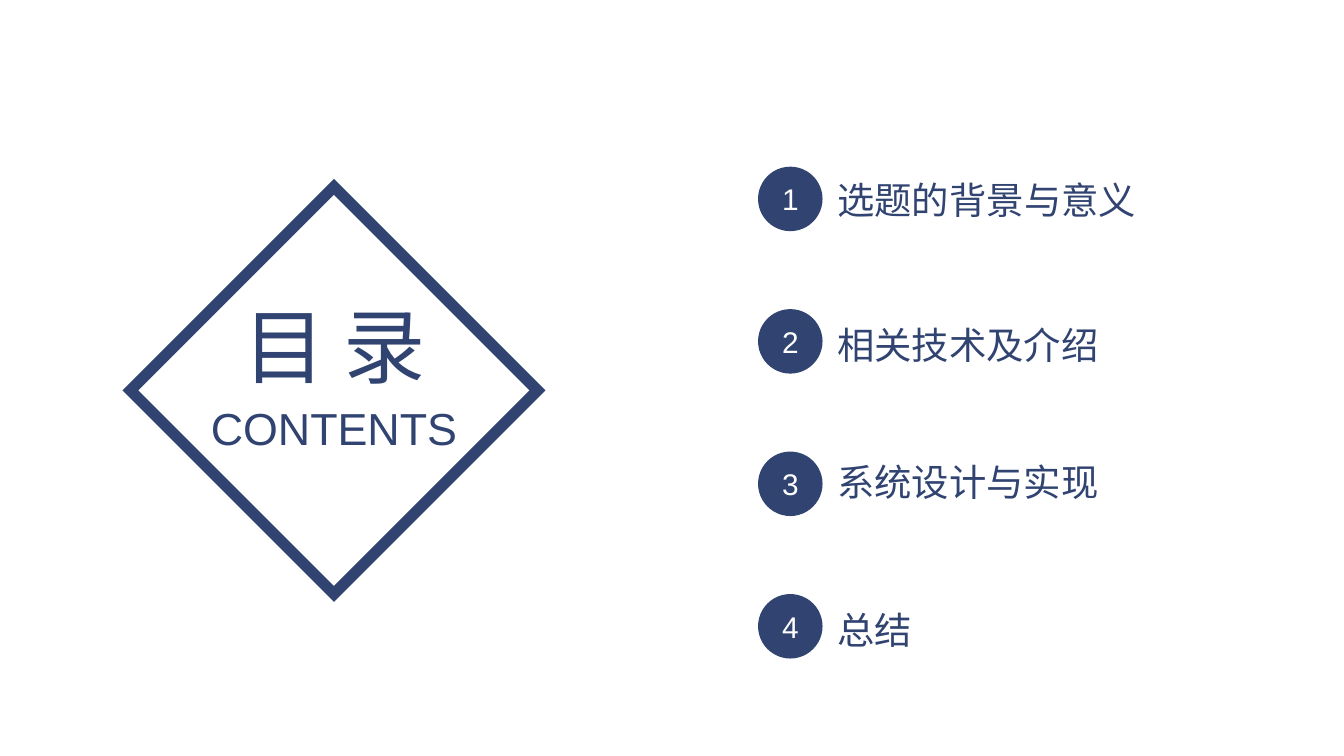
from lxml import etree
from pptx import Presentation
from pptx.dml.color import RGBColor
from pptx.enum.shapes import MSO_SHAPE
from pptx.enum.text import MSO_ANCHOR, MSO_AUTO_SIZE, PP_ALIGN
from pptx.oxml.ns import qn
from pptx.util import Inches, Pt

OVAL, DIAMOND = MSO_SHAPE.OVAL, MSO_SHAPE.DIAMOND
TOP, MIDDLE = MSO_ANCHOR.TOP, MSO_ANCHOR.MIDDLE
LEFT, CENTER = PP_ALIGN.LEFT, PP_ALIGN.CENTER
GROW, FIXED = MSO_AUTO_SIZE.SHAPE_TO_FIT_TEXT, MSO_AUTO_SIZE.NONE
WIDTH = Inches(10)
HEIGHT = WIDTH * 9 // 16
NAVY, WHITE = "304371", "FFFFFF"
HAN, LATIN = "Noto Sans CJK SC", "Arial"
TOPICS = [
    ("选题的背景与意义", 1.27, 2.45),
    ("相关技术及介绍", 2.35, 2.17),
    ("系统设计与实现", 3.37, 2.17),
    ("总结", 4.47, 0.76),
]


def tint(fmt, color):
    """Set a solid colour on a font, a line or a fill."""
    target = fmt.fill if hasattr(fmt, "fill") else fmt
    target.solid()
    target.fore_color.rgb = RGBColor.from_string(color)


def put(item, values):
    """Set each attribute of an item from a dict."""
    for key, value in values.items():
        setattr(item, key, value)


def write(shape, text, size, face, color=NAVY, align=CENTER, **frame):
    """Fill a shape with one styled line of text."""
    put(shape.text_frame, frame)
    line = shape.text_frame.paragraphs[0]
    line.alignment = align
    run = line.add_run()
    run.text = text
    put(run.font, {"size": Pt(size), "name": face})
    tint(run.font, color)
    east = etree.SubElement(run.font._element, qn("a:ea"))
    east.set("typeface", face)


def label(slide, text, box, size, face, align=CENTER):
    """Add an unwrapped line of text."""
    shape = slide.shapes.add_textbox(*map(Inches, box))
    write(shape, text, size, face, align=align, word_wrap=False, auto_size=GROW)


def title(slide, text, box):
    """Place and fill the title."""
    shape = slide.shapes.title
    put(shape, dict(zip(("left", "top", "width", "height"), map(Inches, box))))
    write(shape, text, 44, HAN, word_wrap=False, auto_size=GROW, vertical_anchor=TOP)


def badge(slide, number, top):
    """Add a numbered disc."""
    shape = slide.shapes.add_shape(OVAL, *map(Inches, (5.64, top, 0.48, 0.48)))
    shape.shadow.inherit = False
    tint(shape.fill, NAVY)
    shape.line.fill.background()
    write(shape, str(number), 16, LATIN, WHITE, auto_size=FIXED, vertical_anchor=MIDDLE)


def frame(slide, box):
    """Add the outlined diamond with sharp corners."""
    shape = slide.shapes.add_shape(DIAMOND, *map(Inches, box))
    shape.shadow.inherit = False
    shape.fill.background()
    tint(shape.line, NAVY)
    shape.line.width = Pt(6)
    line = shape.line._get_or_add_ln()
    etree.SubElement(line, qn("a:miter")).set("lim", "800000")


def main():
    """Build the contents slide."""
    deck = Presentation()
    put(deck, {"slide_width": WIDTH, "slide_height": HEIGHT})
    slide = deck.slides.add_slide(deck.slide_layouts[5])
    title(slide, "目 录", (1.68, 2.15, 1.62, 0.84))
    for index, (text, top, width) in enumerate(TOPICS):
        label(slide, text, (6.13, top, width, 0.44), 20, HAN, LEFT)
        badge(slide, index + 1, 1.24 + index * 1.06)
    frame(slide, (0.97, 1.39, 3.03, 3.03))
    label(slide, "CONTENTS", (1.46, 2.93, 2.05, 0.5), 24, LATIN)
    deck.save("out.pptx")


if __name__ == "__main__":
    main()
